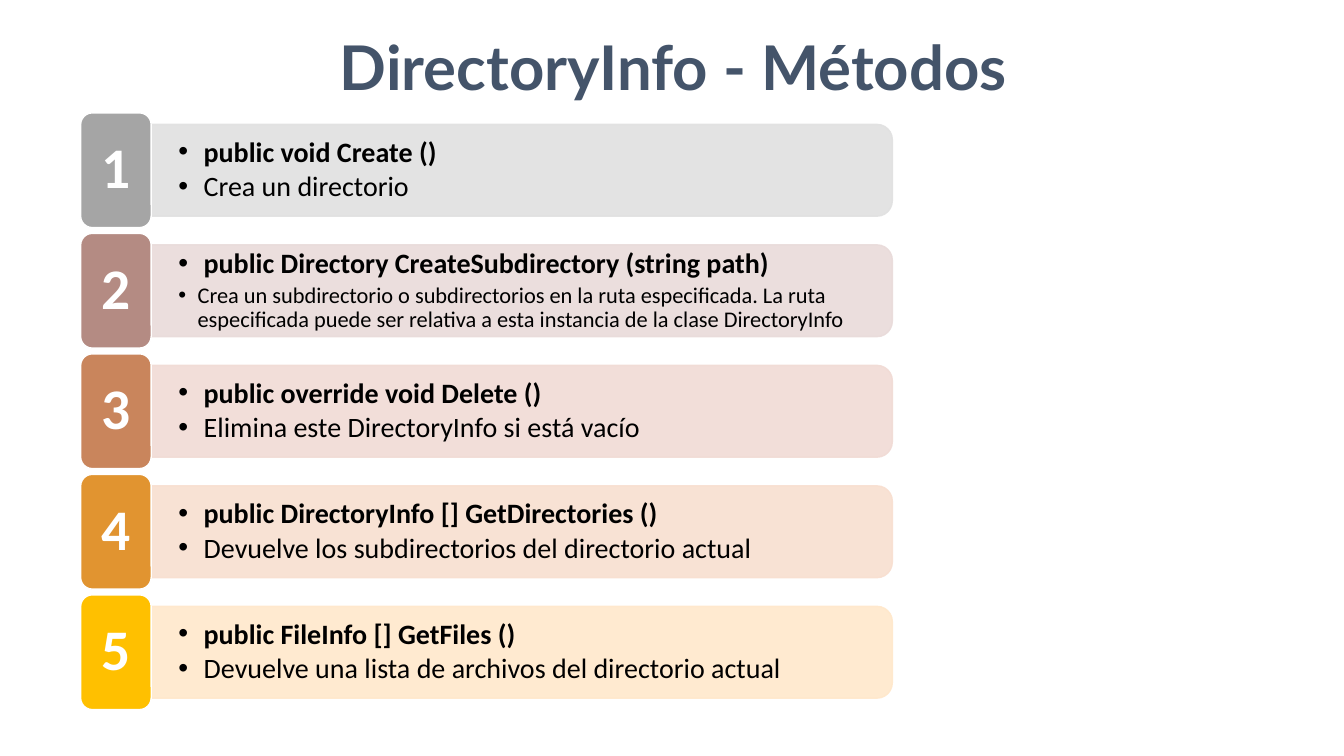
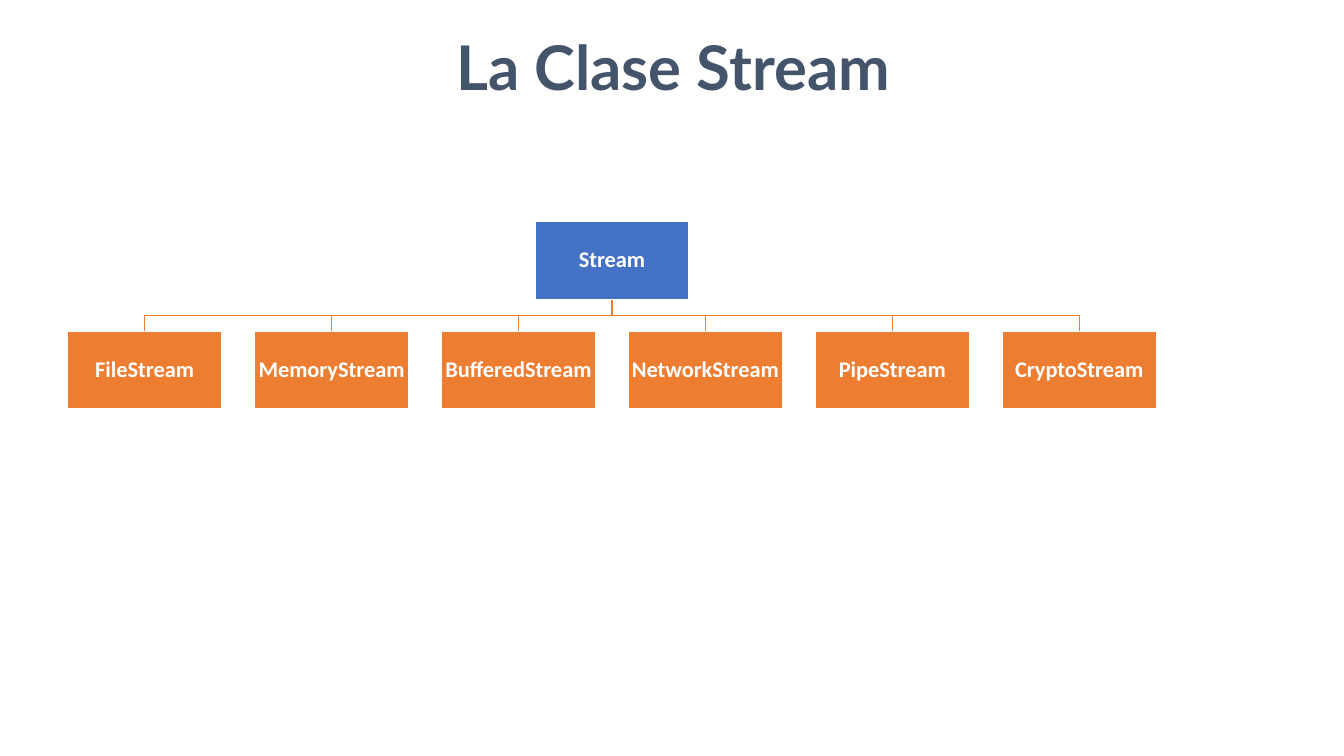
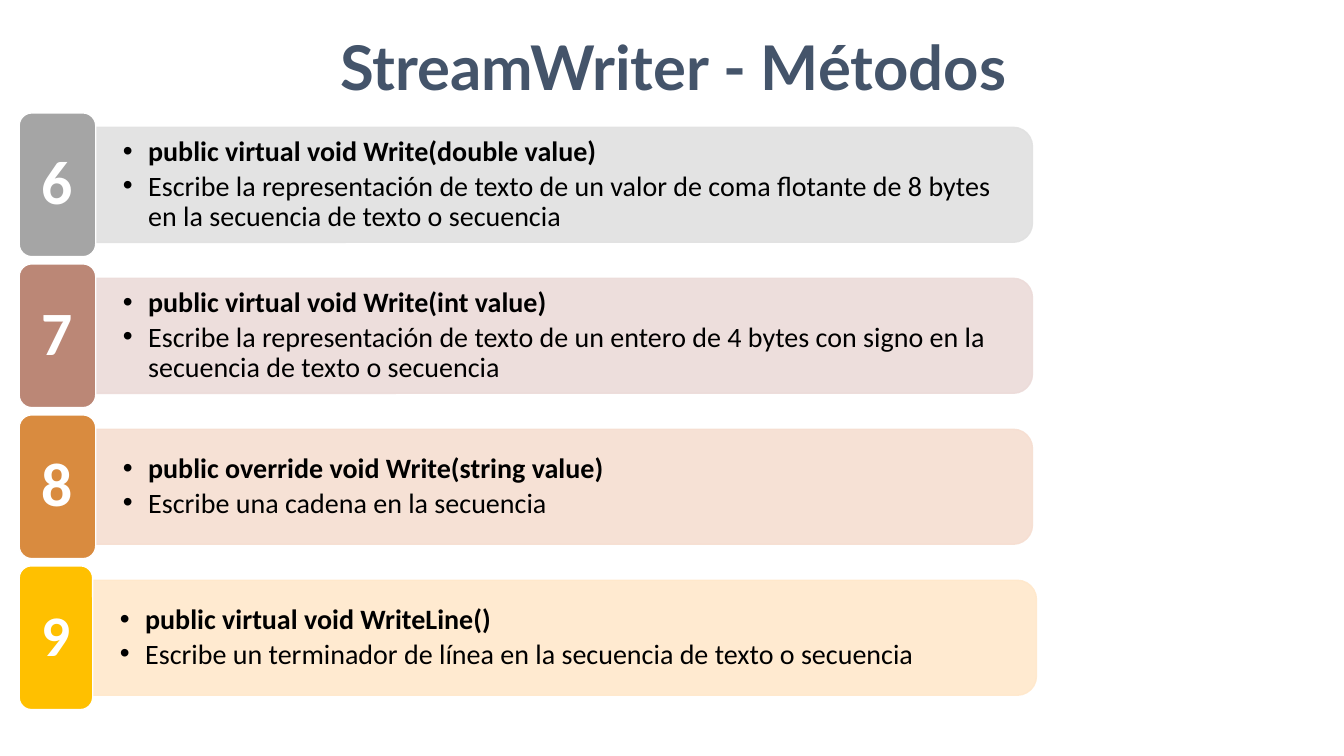
from lxml import etree
from pptx import Presentation
from pptx.dml.color import RGBColor
from pptx.enum import shapes, text
from pptx.oxml.ns import qn
from pptx.util import Inches, Pt

TITLE_COLOR = RGBColor(0x44, 0x54, 0x6A)
WHITE = RGBColor(0xFF, 0xFF, 0xFF)
BLACK = RGBColor(0x00, 0x00, 0x00)
BLUE = RGBColor(0x44, 0x72, 0xC4)
ORANGE = RGBColor(0xED, 0x7D, 0x31)
GRAY, GRAY_TINT = RGBColor(0xA5, 0xA5, 0xA5), RGBColor(0xE1, 0xE1, 0xE1)
MAUVE, MAUVE_TINT = RGBColor(0xB4, 0x8B, 0x83), RGBColor(0xE9, 0xDB, 0xDA)
CLAY, CLAY_TINT = RGBColor(0xC9, 0x85, 0x5C), RGBColor(0xF1, 0xDB, 0xD5)
AMBER, AMBER_TINT = RGBColor(0xE1, 0x94, 0x30), RGBColor(0xF8, 0xDF, 0xD0)
ROSE, ROSE_TINT = RGBColor(0xBB, 0x87, 0x76), RGBColor(0xEC, 0xDB, 0xD9)
OCHRE, OCHRE_TINT = RGBColor(0xD9, 0x8B, 0x3F), RGBColor(0xF6, 0xDE, 0xD1)
GOLD, GOLD_TINT = RGBColor(0xFF, 0xC0, 0x00), RGBColor(0xFF, 0xE8, 0xCB)

TITLE_FONT, BODY_FONT = "Lato", "Calibri"
BULLET_INDENT = {20: 0.25, 16: 0.19}

# Each method: number, badge color, band color, signature, description
DIRECTORY_METHODS = [
    ("1", GRAY, GRAY_TINT, "public void Create ()", "Crea un directorio"),
    ("2", MAUVE, MAUVE_TINT, "public Directory CreateSubdirectory (string path)",
     "Crea un subdirectorio o subdirectorios en la ruta especificada. La ruta "
     "especificada puede ser relativa a esta instancia de la clase DirectoryInfo"),
    ("3", CLAY, CLAY_TINT, "public override void Delete ()",
     "Elimina este DirectoryInfo si está vacío"),
    ("4", AMBER, AMBER_TINT, "public DirectoryInfo [] GetDirectories ()",
     "Devuelve los subdirectorios del directorio actual"),
    ("5", GOLD, GOLD_TINT, "public FileInfo [] GetFiles ()",
     "Devuelve una lista de archivos del directorio actual"),
]
WRITER_METHODS = [
    ("6", GRAY, GRAY_TINT, "public virtual void Write(double value)",
     "Escribe la representación de texto de un valor de coma flotante de 8 bytes "
     "en la secuencia de texto o secuencia"),
    ("7", ROSE, ROSE_TINT, "public virtual void Write(int value)",
     "Escribe la representación de texto de un entero de 4 bytes con signo en la "
     "secuencia de texto o secuencia"),
    ("8", OCHRE, OCHRE_TINT, "public override void Write(string value)",
     "Escribe una cadena en la secuencia"),
    ("9", GOLD, GOLD_TINT, "public virtual void WriteLine()",
     "Escribe un terminador de línea en la secuencia de texto o secuencia"),
]
STREAM_CLASSES = ["FileStream", "MemoryStream", "BufferedStream",
                  "NetworkStream", "PipeStream", "CryptoStream"]


def add_run(paragraph, wording, size, color, bold=True, font=BODY_FONT):
    run = paragraph.add_run()
    run.text = wording
    run.font.size, run.font.bold, run.font.name = Pt(size), bold, font
    run.font.color.rgb = color


def set_frame(shape, inset_x, inset_y, anchor=text.MSO_ANCHOR.MIDDLE):
    frame = shape.text_frame
    frame.word_wrap = True
    frame.vertical_anchor = anchor
    frame.margin_left = frame.margin_right = Inches(inset_x)
    frame.margin_top = frame.margin_bottom = Inches(inset_y)
    return frame


def add_block(slide, preset, box, fill, line):
    block = slide.shapes.add_shape(preset, *map(Inches, box))
    block.shadow.inherit = False
    block.fill.solid()
    block.fill.fore_color.rgb = fill
    block.line.color.rgb = line
    block.line.width = Pt(1)
    return block


def add_label(block, wording, size, inset=0.01):
    paragraph = set_frame(block, inset, inset).paragraphs[0]
    paragraph.alignment = text.PP_ALIGN.CENTER
    paragraph.line_spacing = 0.9
    add_run(paragraph, wording, size, WHITE)


def add_titled_slide(prs, title):
    slide = prs.slides.add_slide(prs.slide_layouts[6])
    box = slide.shapes.add_textbox(*map(Inches, (0.13, 0.27, 13.1, 0.79)))
    paragraph = set_frame(box, 0.05, 0.02, text.MSO_ANCHOR.TOP).paragraphs[0]
    paragraph.alignment = text.PP_ALIGN.CENTER
    add_run(paragraph, title, 44, TITLE_COLOR, font=TITLE_FONT)
    return slide


def add_bullet(paragraph, wording, size, bold):
    indent = Inches(BULLET_INDENT[size])
    props = paragraph._p.get_or_add_pPr()
    props.set("marL", str(indent))
    props.set("indent", str(-indent))
    paragraph.line_spacing = 0.9
    paragraph.space_after = Pt(size * 0.15)
    etree.SubElement(props, qn("a:buFont"), typeface="Arial")
    etree.SubElement(props, qn("a:buChar"), char="•")
    add_run(paragraph, wording, size, BLACK, bold)


def add_band(slide, left, top, width, height, tint):
    """Translucent bar with round right corners: a quarter turn of a round-topped one."""
    upright = (left + (width - height) / 2, top + (height - width) / 2, height, width)
    band = add_block(slide, shapes.MSO_SHAPE.ROUND_2_SAME_RECTANGLE, upright, tint, tint)
    band.rotation = 90
    for color in band._element.spPr.iter(qn("a:srgbClr")):
        etree.SubElement(color, qn("a:alpha"), val="90000")


def add_method(slide, box, badge_width, method, number_size, description_size):
    left, top, width, height = box
    number, color, tint, signature, description = method
    band_left, band_width = left + badge_width, width - badge_width
    band_top, band_height = top + height * 0.1, height * 0.8
    add_band(slide, band_left, band_top, band_width, band_height, tint)

    edge = band_height * 0.05
    wording = slide.shapes.add_textbox(
        Inches(band_left), Inches(band_top + edge),
        Inches(band_width - edge), Inches(band_height - 2 * edge))
    frame = set_frame(wording, 0.27, 0.14)
    add_bullet(frame.paragraphs[0], signature, 20, True)
    add_bullet(frame.add_paragraph(), description, description_size, False)

    badge = add_block(slide, shapes.MSO_SHAPE.ROUNDED_RECTANGLE,
                      (left, top, badge_width, height), color, WHITE)
    add_label(badge, number, number_size)


def add_method_list(slide, methods, left, row_formats):
    """row_formats: width, badge width, number size and description size of each row."""
    top, total = 1.12, 5.92
    height = total / (len(methods) + 0.05 * (len(methods) - 1))
    for i, (method, row_format) in enumerate(zip(methods, row_formats)):
        width, badge_width, number_size, description_size = row_format
        box = (left, top + i * height * 1.05, width, height)
        add_method(slide, box, badge_width, method, number_size, description_size)


def add_branch(slide, start, end):
    """Stepped line that goes down, across and down again."""
    (start_x, start_y), (end_x, end_y) = start, end
    bend_y = (start_y + end_y) / 2
    outline = slide.shapes.build_freeform(Inches(start_x), Inches(start_y))
    outline.add_line_segments(
        [(Inches(x), Inches(y))
         for x, y in ((start_x, bend_y), (end_x, bend_y), (end_x, end_y))],
        close=False)
    branch = outline.convert_to_shape()
    branch.shadow.inherit = False
    branch.fill.background()
    branch.line.color.rgb = ORANGE
    branch.line.width = Pt(1)


def add_class_tree(slide, box, root_name, child_names):
    left, top, width, height = box
    node_width, node_height = 1.53, 0.77
    pitch = (width - node_width) / (len(child_names) - 1)
    middle = left + width / 2
    child_top = top + height - node_height

    def add_node(name, center, node_top, fill):
        node = add_block(slide, shapes.MSO_SHAPE.RECTANGLE,
                         (center - node_width / 2, node_top, node_width, node_height),
                         fill, WHITE)
        add_label(node, name, 16)

    centers = [left + node_width / 2 + i * pitch for i in range(len(child_names))]
    for center in reversed(centers):
        add_branch(slide, (middle, top + node_height), (center, child_top))
    add_node(root_name, middle, top, BLUE)
    for name, center in zip(child_names, centers):
        add_node(name, center, child_top, ORANGE)


def main():
    prs = Presentation()
    prs.slide_width, prs.slide_height = Inches(13.33), Inches(7.5)

    directory = add_titled_slide(prs, "DirectoryInfo - Métodos")
    regular, small = (8.05, 0.7, 41, 20), (8.05, 0.7, 41, 16)
    add_method_list(directory, DIRECTORY_METHODS, 0.8,
                    [regular, small, regular, regular, regular])

    stream = add_titled_slide(prs, "La Clase Stream")
    add_class_tree(stream, (0.67, 2.2, 10.8, 1.86), "Stream", STREAM_CLASSES)

    writer = add_titled_slide(prs, "StreamWriter - Métodos")
    add_method_list(writer, WRITER_METHODS, 0.19,
                    [(10.05, 0.76, 44, 20)] * 3 + [(10.09, 0.73, 41, 20)])

    prs.save("out.pptx")


if __name__ == "__main__":
    main()
